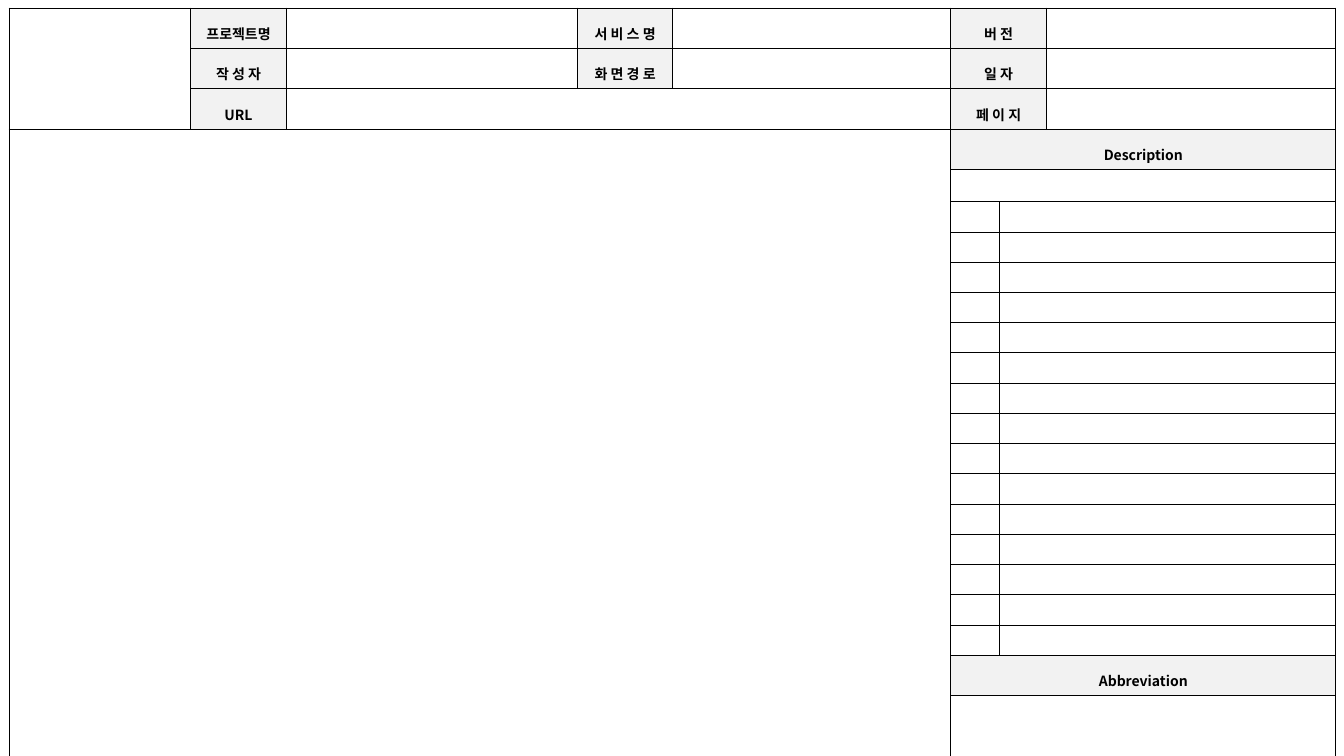
from dataclasses import dataclass

from pptx import Presentation
from pptx.dml.color import RGBColor
from pptx.enum import text
from pptx.oxml import xmlchemy
from pptx.oxml.ns import qn
from pptx.table import Table, _Cell
from pptx.util import Inches, Pt
from lxml import etree

BLACK = RGBColor(0x00, 0x00, 0x00)
LABEL_FILL = RGBColor(0xF2, 0xF2, 0xF2)
SANS = "Noto Sans CJK KR"
LABEL_FONT = {"size": Pt(10), "bold": True}
CELL_FORMAT = {
    "margin_left": Inches(0.1),
    "margin_right": Inches(0.1),
    "margin_top": Inches(0.05),
    "margin_bottom": Inches(0.05),
    "vertical_anchor": text.MSO_ANCHOR.MIDDLE,
}
BORDER_WIDTH = Pt(0.75)
EMPTY_SIZE = 800  # hundredths of a point

COLUMN_WIDTHS = [1.8, 0.95, 2.89, 0.94, 2.76, 0.48, 0.47, 2.87]
HEADER_ROWS = 3
ITEM_ROWS = 15
DESCRIPTION_ROW = HEADER_ROWS
FIRST_ITEM_ROW = DESCRIPTION_ROW + 2
ABBREVIATION_ROW = FIRST_ITEM_ROW + ITEM_ROWS
LAST_ROW = ABBREVIATION_ROW + 1
LAST_COLUMN = len(COLUMN_WIDTHS) - 1
SIDE_COLUMN = 5
ROW_HEIGHTS = [0.4] * (HEADER_ROWS + 1) + [0.32] + [0.3] * ITEM_ROWS + [0.4, 0.7]


@dataclass(frozen=True)
class Label:
    row: int
    column: int
    caption: str
    latin: str = SANS


@dataclass(frozen=True)
class Span:
    top: int
    left: int
    bottom: int
    right: int


LABELS = [
    Label(0, 1, "프로젝트명", "Calibri"),
    Label(0, 3, "서 비 스 명"),
    Label(0, 5, "버 전"),
    Label(1, 1, "작 성 자"),
    Label(1, 3, "화 면 경 로"),
    Label(1, 5, "일 자"),
    Label(2, 1, "URL"),
    Label(2, 5, "페 이 지"),
    Label(DESCRIPTION_ROW, SIDE_COLUMN, "Description"),
    Label(ABBREVIATION_ROW, SIDE_COLUMN, "Abbreviation"),
]
SPANS = [
    Span(0, 0, HEADER_ROWS - 1, 0),
    Span(2, 2, 2, 4),
    Span(DESCRIPTION_ROW, 0, LAST_ROW, 4),
    *[Span(row, 5, row, 6) for row in range(HEADER_ROWS)],
    *[Span(row, 6, row, 7) for row in range(FIRST_ITEM_ROW, ABBREVIATION_ROW)],
    *[
        Span(row, SIDE_COLUMN, row, LAST_COLUMN)
        for row in (DESCRIPTION_ROW, DESCRIPTION_ROW + 1, ABBREVIATION_ROW, LAST_ROW)
    ],
]


def set_format(target: object, values: dict) -> None:
    for name, value in values.items():
        setattr(target, name, value)


def add_borders(cell: _Cell) -> None:
    properties = cell._tc.get_or_add_tcPr()
    for position, side in enumerate(("lnL", "lnR", "lnT", "lnB")):
        line = etree.Element(qn(f"a:{side}"), w=str(BORDER_WIDTH))
        fill = etree.SubElement(line, qn("a:solidFill"))
        etree.SubElement(fill, qn("a:srgbClr"), val=str(BLACK))
        properties.insert(position, line)


def format_empty(cell: _Cell) -> None:
    """Give the empty paragraph a small size so that its row keeps its height."""
    paragraph = cell.text_frame.paragraphs[0]._p
    etree.SubElement(paragraph, qn("a:endParaRPr"), sz=str(EMPTY_SIZE))


def write_label(cell: _Cell, label: Label) -> None:
    cell.fill.solid()
    cell.fill.fore_color.rgb = LABEL_FILL
    paragraph = cell.text_frame.paragraphs[0]
    set_format(paragraph, {"alignment": text.PP_ALIGN.CENTER, "line_spacing": 1.5})
    run = paragraph.add_run()
    run.text = label.caption
    set_format(run.font, {**LABEL_FONT, "name": label.latin})
    run.font.color.rgb = BLACK
    etree.SubElement(run._r.get_or_add_rPr(), qn("a:ea"), typeface=SANS)


def fill_table(table: Table) -> None:
    set_format(table, {"first_row": False, "horz_banding": False})
    for column, width in zip(table.columns, COLUMN_WIDTHS):
        column.width = Inches(width)
    for row, height in zip(table.rows, ROW_HEIGHTS):
        row.height = Inches(height)

    labels = {(label.row, label.column): label for label in LABELS}
    for row in range(len(ROW_HEIGHTS)):
        for column in range(len(COLUMN_WIDTHS)):
            cell = table.cell(row, column)
            set_format(cell, CELL_FORMAT)
            if (row, column) in labels:
                write_label(cell, labels[row, column])
            else:
                cell.fill.background()
                format_empty(cell)
            add_borders(cell)
    for span in SPANS:
        table.cell(span.top, span.left).merge(table.cell(span.bottom, span.right))


def main() -> None:
    presentation = Presentation()
    set_format(
        presentation, {"slide_width": Inches(13.33), "slide_height": Inches(7.5)}
    )
    slide = presentation.slides.add_slide(presentation.slide_layouts[6])
    frame = slide.shapes.add_table(
        len(ROW_HEIGHTS), len(COLUMN_WIDTHS),
        Inches(0.09), Inches(0.08),
        Inches(sum(COLUMN_WIDTHS)), Inches(sum(ROW_HEIGHTS)),
    )
    fill_table(frame.table)
    presentation.save("out.pptx")


if __name__ == "__main__":
    main()
